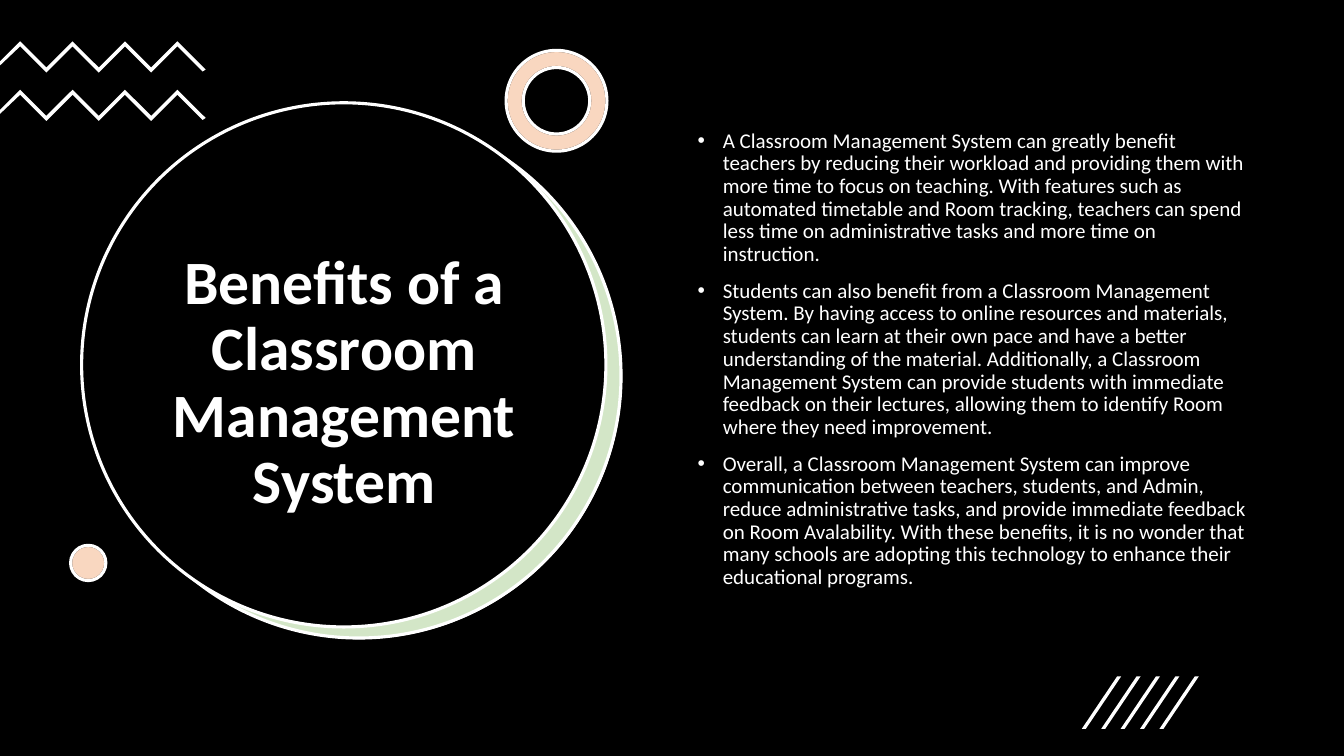
"""Build the slide on the benefits of a classroom management system."""
from lxml import etree
from pptx import Presentation
from pptx import util as u
from pptx.dml import color
from pptx.enum import shapes, text
from pptx.oxml import ns

WHITE, BLACK, GREEN, ORANGE = "FFFFFF", "000000", "70AD47", "ED7D31"
FONT = "Calibri"
TITLE = "Benefits of a Classroom Management System"
BENEFITS = [
    "A Classroom Management System can greatly benefit teachers by reducing their "
    "workload and providing them with more time to focus on teaching. With features "
    "such as automated timetable and Room tracking, teachers can spend less time on "
    "administrative tasks and more time on instruction.",
    "Students can also benefit from a Classroom Management System. By having access "
    "to online resources and materials, students can learn at their own pace and have "
    "a better understanding of the material. Additionally, a Classroom Management "
    "System can provide students with immediate feedback on their lectures, allowing "
    "them to identify Room where they need improvement.",
    "Overall, a Classroom Management System can improve communication between "
    "teachers, students, and Admin, reduce administrative tasks, and provide immediate "
    "feedback on Room Avalability. With these benefits, it is no wonder that many "
    "schools are adopting this technology to enhance their educational programs.",
]


def rgb(code):
    """Turn a hex string into a colour."""
    return color.RGBColor.from_string(code)


def paint(shape, fill, line=None, alpha=None):
    """Give a shape its fill, outline and opacity in percent."""
    shape.shadow.inherit = False
    shape.fill.solid()
    shape.fill.fore_color.rgb = rgb(fill)
    if alpha:
        tint = shape.fill._xPr.find(".//" + ns.qn("a:srgbClr"))
        etree.SubElement(tint, ns.qn("a:alpha"), val=str(alpha * 1000))
    if line:
        shape.line.color.rgb = rgb(line)
        shape.line.width = u.Pt(2.25)
    else:
        shape.line.fill.background()


def add_preset(slide, kind, box, fill, line=None, alpha=None):
    """Add a painted preset shape in a box given in inches."""
    shape = slide.shapes.add_shape(kind, *map(u.Inches, box))
    paint(shape, fill, line, alpha)
    return shape


def add_outline(group, points):
    """Add a closed white outline through points given in inches."""
    start, *corners = [(u.Inches(x), u.Inches(y)) for x, y in points]
    builder = group.shapes.build_freeform(*start)
    builder.add_line_segments(corners, close=True)
    paint(builder.convert_to_shape(), WHITE)


def add_frame(slide, box, anchor):
    """Add a wrapping text box and return its text frame."""
    frame = slide.shapes.add_textbox(*map(u.Inches, box)).text_frame
    frame.word_wrap = True
    frame.vertical_anchor = anchor
    return frame


def add_words(paragraph, words, size, bold=False):
    """Add one white run to a paragraph."""
    paragraph.line_spacing = 0.9
    run = paragraph.add_run()
    run.text = words
    run.font.name, run.font.size, run.font.bold = FONT, u.Pt(size), bold
    run.font.color.rgb = rgb(WHITE)


def title_disc(slide, left, top, size):
    """Draw the title disc over its green crescent."""
    oval = shapes.MSO_SHAPE.OVAL
    add_preset(slide, oval, (left + 0.16, top + 0.12, size, size), WHITE)
    add_preset(slide, oval, (left + 0.15, top + 0.11, size, size), GREEN, WHITE, 30)
    add_preset(slide, oval, (left, top, size, size), BLACK, WHITE)
    frame = add_frame(slide, (left + 0.4, top + 1.03, 4.41, 3.52), text.MSO_ANCHOR.MIDDLE)
    heading = frame.paragraphs[0]
    heading.alignment = text.PP_ALIGN.CENTER
    add_words(heading, TITLE, 44, True)


def zigzags(slide, left, top):
    """Draw two zigzag bands that run in from the slide edge."""
    group = slide.shapes.add_group_shape()
    for row in range(2):
        y = top + row * 0.48
        bends = [(left + 0.2 + i * 0.26, y + i % 2 * 0.26) for i in range(7)]
        tip = [(left + 2.04, y + 0.28), (left + 2.01, y + 0.3)]
        lower = [(x, bend + 0.05) for x, bend in reversed(bends)]
        edge = [(left, y + 0.24), (left, y + 0.2)]
        add_outline(group, bends + tip + lower + edge)


def tinted_accent(slide, kind, left, top, size, hole=None):
    """Draw a pale orange accent on a white base."""
    for fill, line, alpha in ((WHITE, BLACK, None), (ORANGE, WHITE, 30)):
        accent = add_preset(slide, kind, (left, top, size, size), fill, line, alpha)
        if hole:
            accent.adjustments[0] = hole


def benefit_list(slide, box):
    """Write the bulleted benefits."""
    frame = add_frame(slide, box, text.MSO_ANCHOR.TOP)
    for i, benefit in enumerate(BENEFITS):
        item = frame.add_paragraph() if i else frame.paragraphs[0]
        item.space_before = u.Pt(10)
        add_words(item, benefit, 15)
        props = item._p.get_or_add_pPr()
        props.set("marL", str(u.Inches(0.25)))
        props.set("indent", str(u.Inches(-0.25)))
        etree.SubElement(props, ns.qn("a:buFont"), typeface="Arial")
        etree.SubElement(props, ns.qn("a:buChar"), char="•")


def slashes(slide, left, top):
    """Draw a row of five slanted strokes."""
    group = slide.shapes.add_group_shape()
    for i in range(5):
        x = left + i * 0.77 / 4
        add_outline(group, [(x + 0.04, top + 0.52), (x, top + 0.52),
                            (x + 0.35, top), (x + 0.39, top)])


def main():
    """Build and save the slide."""
    deck = Presentation()
    deck.slide_width, deck.slide_height = u.Inches(13.33), u.Inches(7.5)
    slide = deck.slides.add_slide(deck.slide_layouts[6])
    add_preset(slide, shapes.MSO_SHAPE.RECTANGLE, (0, 0, 13.33, 7.5), BLACK)
    title_disc(slide, 0.81, 1.02, 5.2)
    zigzags(slide, 0, 0.41)
    tinted_accent(slide, shapes.MSO_SHAPE.DONUT, 5.02, 0.5, 1, 0.17)
    tinted_accent(slide, shapes.MSO_SHAPE.OVAL, 0.7, 5.41, 0.35)
    benefit_list(slide, (6.82, 1.24, 5.71, 4.76))
    slashes(slide, 10.73, 6.71)
    deck.save("out.pptx")


if __name__ == "__main__":
    main()
